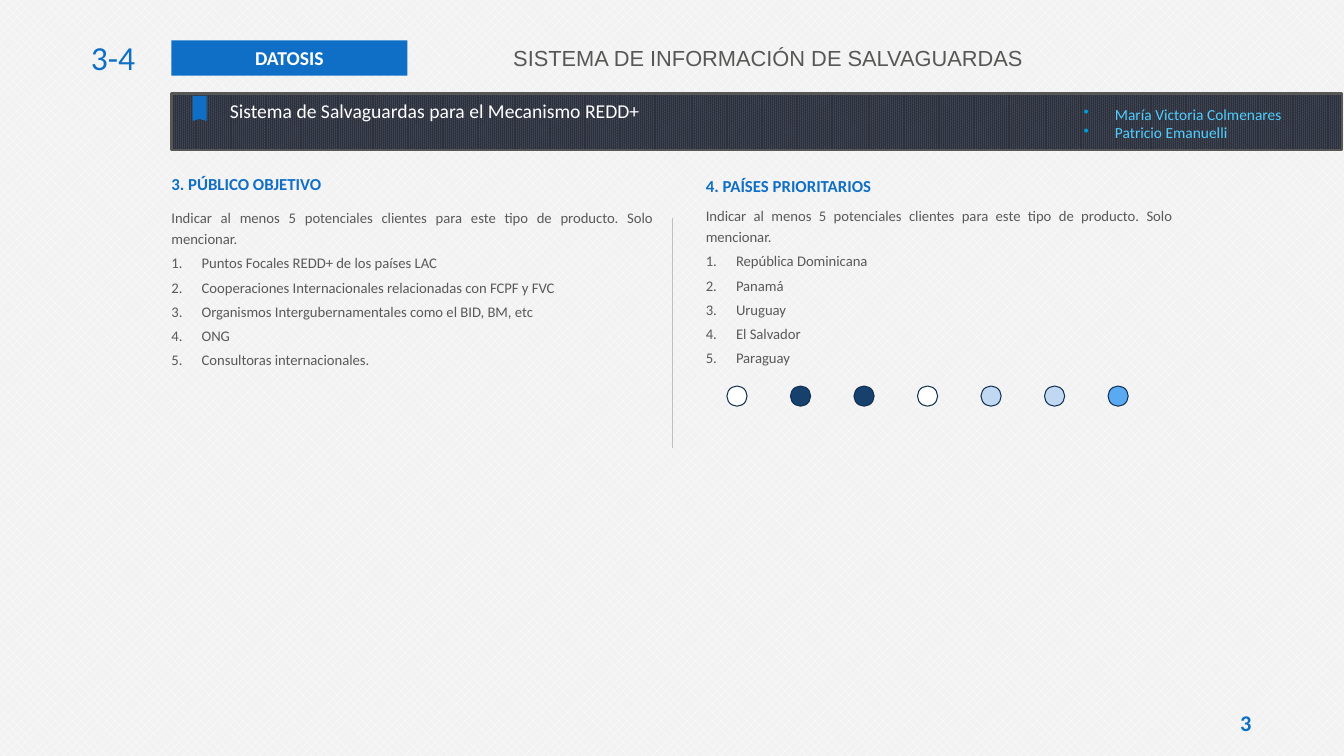
from lxml import etree
from pptx import Presentation
from pptx.dml.color import RGBColor
from pptx.enum.dml import MSO_PATTERN
from pptx.enum.shapes import MSO_CONNECTOR, MSO_SHAPE
from pptx.enum.text import MSO_ANCHOR, MSO_AUTO_SIZE, PP_ALIGN
from pptx.oxml.ns import qn
from pptx.util import Inches, Pt

RECT, OVAL = MSO_SHAPE.RECTANGLE, MSO_SHAPE.OVAL
LINE = MSO_CONNECTOR.STRAIGHT
DOTS, WEAVE = MSO_PATTERN.ERCENT_40, MSO_PATTERN.PERCENT_90
TOP, MID = MSO_ANCHOR.TOP, MSO_ANCHOR.MIDDLE
LEFT, RIGHT = PP_ALIGN.LEFT, PP_ALIGN.RIGHT
MIDDLE, FULL = PP_ALIGN.CENTER, PP_ALIGN.JUSTIFY
FIXED = MSO_AUTO_SIZE.NONE

WHITE = RGBColor(0xFF, 0xFF, 0xFF)
PALE = RGBColor(0xF2, 0xF2, 0xF2)
BLUE = RGBColor(0x0F, 0x6F, 0xC6)
GREY = RGBColor(0x57, 0x57, 0x56)
TEXT = RGBColor(0x59, 0x59, 0x59)
RULE = RGBColor(0xBF, 0xBF, 0xBF)
DARK = RGBColor(0x2D, 0x31, 0x3C)
SLATE = RGBColor(0x44, 0x4A, 0x5A)
CYAN = RGBColor(0x4F, 0xCE, 0xFF)
NAVY = RGBColor(0x17, 0x40, 0x6D)
EDGE = RGBColor(0x11, 0x30, 0x52)
ICE = RGBColor(0xC1, 0xD8, 0xF2)
SKY = RGBColor(0x59, 0xAA, 0xF2)

ASK = ("Indicar al menos 5 potenciales clientes para este tipo de producto. "
       "Solo mencionar.")
CLIENTS = ["Puntos Focales REDD+ de los países LAC",
           "Cooperaciones Internacionales relacionadas con FCPF y FVC",
           "Organismos Intergubernamentales como el BID, BM, etc",
           "ONG", "Consultoras internacionales."]
LANDS = ["República Dominicana", "Panamá", "Uruguay", "El Salvador", "Paraguay"]
AUTHORS = ["María Victoria Colmenares", "Patricio Emanuelli"]


def place(shape, x, y, w, h):
    shape.left, shape.top = Inches(x), Inches(y)
    shape.width, shape.height = Inches(w), Inches(h)


def style(para, size, color, bold=False, align=LEFT, face="Calibri"):
    para.alignment = align
    font = para.font
    font.name, font.size, font.bold = face, Pt(size), bold
    font.color.rgb = color


def write(shape, text, size, color, bold=False, align=LEFT, face="Calibri",
          anchor=TOP):
    frame = shape.text_frame
    frame.word_wrap, frame.auto_size = True, FIXED
    frame.vertical_anchor = anchor
    frame.text = text
    style(frame.paragraphs[0], size, color, bold, align, face)
    return frame


def label(slide, box, *args, **kwargs):
    return write(slide.shapes.add_textbox(*map(Inches, box)), *args, **kwargs)


def block(slide, kind, box):
    shape = slide.shapes.add_shape(kind, *map(Inches, box))
    shape.shadow.inherit = False
    shape.line.fill.background()
    return shape


def paint(shape, color):
    shape.fill.solid()
    shape.fill.fore_color.rgb = color


def hatch(fill, kind, fore, back):
    fill.patterned()
    fill.pattern = kind
    fill.fore_color.rgb, fill.back_color.rgb = fore, back


def mark(para, tag, indent, **attrs):
    props = para._p.get_or_add_pPr()
    props.set("marL", str(Inches(indent)))
    props.set("indent", str(-Inches(indent)))
    bullet = etree.Element(qn("a:" + tag), **attrs)
    props.insert_element_before(bullet, "a:tabLst", "a:defRPr", "a:extLst")


def header(slide, x, y):
    title = slide.shapes.title
    place(title, x + 4.21, y, 6.81, 0.5)
    write(title, "SISTEMA DE INFORMACIÓN DE SALVAGUARDAS", 15.6, GREY,
          face="Arial", anchor=MID)
    tag = block(slide, RECT, (x + 0.92, y + 0.08, 2.34, 0.35))
    paint(tag, BLUE)
    write(tag, "DATOSIS", 14, WHITE, True, MIDDLE, anchor=MID)
    label(slide, (x, y, 0.66, 0.5), "3-4", 24, BLUE, align=RIGHT)


def banner(slide, x, y, w, h):
    band = block(slide, RECT, (x, y, w, h))
    hatch(band.fill, WEAVE, DARK, SLATE)
    band.line.color.rgb, band.line.width = GREY, Pt(2)
    frame = write(band, "Sistema de Salvaguardas para el Mecanismo REDD+", 14, WHITE)
    frame.margin_left = Inches(0.58)

    pen = slide.shapes.build_freeform(Inches(x + 0.21), Inches(y + 0.02), 1.0)
    points = [(0.35, 0.02), (0.35, 0.27), (0.28, 0.25), (0.21, 0.27)]
    pen.add_line_segments([(Inches(x + a), Inches(y + b)) for a, b in points])
    flag = pen.convert_to_shape()
    flag.shadow.inherit = False
    paint(flag, BLUE)
    flag.line.fill.background()

    names = label(slide, (x + w - 2.66, y + 0.06, 2.66, 0.47),
                  "\n".join(AUTHORS), 11, CYAN)
    for para in names.paragraphs:
        mark(para, "buChar", 0.31, char="•")
        tint = etree.Element(qn("a:buClr"))
        etree.SubElement(tint, qn("a:srgbClr"), val="009DD9")
        para._p.pPr.insert_element_before(tint, "a:buChar")
        style(para, 11, CYAN)


def column(slide, slots, box, head, items):
    x, y, w, h = box
    top, body = [slide.placeholders[slot] for slot in slots]
    place(top, x, y, w, 0.3)
    frame = write(top, head, 12, BLUE, True)
    frame.paragraphs[0].space_before = Pt(0)
    place(body, x, y + h - 1.7, w, 1.7)
    frame = write(body, "\n".join([ASK] + items), 10.5, TEXT)
    for row, para in enumerate(frame.paragraphs):
        para.line_spacing = 1.2
        if row:
            mark(para, "buAutoNum", 0.3, type="arabicPeriod")
        else:
            para.space_before = Pt(0)
            mark(para, "buNone", 0)
        style(para, 10.5, TEXT, align=FULL)


def dots(slide, x, y, step):
    for i, color in enumerate([WHITE, NAVY, NAVY, WHITE, ICE, ICE, SKY]):
        dot = block(slide, OVAL, (x + i * step, y, 0.2, 0.2))
        paint(dot, color)
        dot.line.color.rgb, dot.line.width = EDGE, Pt(0.75)


def divide(slide, x, y, h):
    line = slide.shapes.add_connector(
        LINE, Inches(x), Inches(y), Inches(x), Inches(y + h))
    line.line.color.rgb, line.line.width = RULE, Pt(0.75)
    etree.SubElement(line._element.spPr, qn("a:effectLst"))


def main():
    deck = Presentation()
    deck.slide_width, deck.slide_height = Inches(13.33), Inches(7.5)
    slide = deck.slides.add_slide(deck.slide_layouts.get_by_name("Comparison"))
    hatch(slide.background.fill, DOTS, WHITE, PALE)
    header(slide, 0.78, 0.32)
    banner(slide, 1.7, 0.93, 11.61, 0.56)
    column(slide, (1, 2), (1.6, 1.67, 4.98, 2.02), "3. PÚBLICO OBJETIVO", CLIENTS)
    column(slide, (3, 4), (6.9, 1.69, 4.83, 1.98), "4. PAÍSES PRIORITARIOS", LANDS)
    divide(slide, 6.67, 2.16, 2.28)
    dots(slide, 7.21, 3.83, 0.63)
    label(slide, (12.05, 7, 0.61, 0.33), "3", 16, BLUE, True, MIDDLE, anchor=MID)
    deck.save("out.pptx")


if __name__ == "__main__":
    main()
